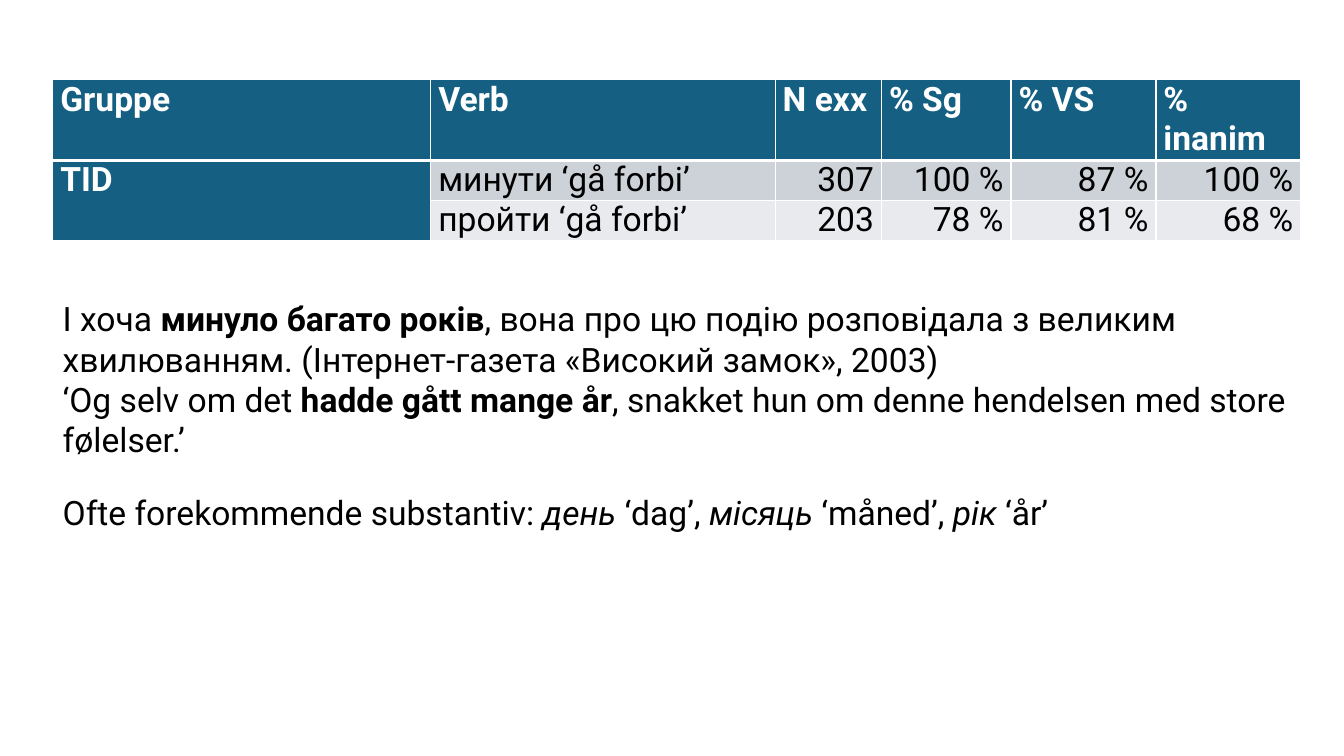
from lxml.etree import SubElement
from pptx import Presentation
from pptx.dml.color import RGBColor
from pptx.enum.text import MSO_AUTO_SIZE as AutoSize, PP_ALIGN as Align
from pptx.oxml.ns import qn
from pptx.util import Pt

# Content
ROWS = [
    ("Gruppe", "Verb", "N exx", "% Sg", "% VS", "% inanim"),
    ("TID", "минути\u00a0‘gå forbi’", "307", "100 %", "87 %", "100 %"),
    ("", "пройти ‘gå forbi’", "203", "78 %", "81 %", "68 %"),
]
# Each span is (text, style): "b" bold, "i" italic, "" plain
EXAMPLE = [
    [("І хоча ", ""), ("минуло багато років", "b"),
     (", вона про цю подію розповідала з великим хвилюванням. "
      "(Інтернет-газета «Високий замок», 2003)", "")],
    [("‘Og selv om det ", ""), ("hadde gått mange år", "b"),
     (", snakket hun om denne hendelsen med store følelser.’", "")],
]
NOUNS = [
    [("Ofte forekommende substantiv: ", ""), ("день", "i"), (" ‘dag’, ", ""),
     ("місяць", "i"), (" ‘måned’, ", ""), ("рік", "i"), (" ‘år’", "")],
]

# Look and layout, in points
WHITE = RGBColor(0xFF, 0xFF, 0xFF)
BLACK = RGBColor(0x00, 0x00, 0x00)
TEAL = RGBColor(0x15, 0x60, 0x82)
BANDS = [RGBColor(0xCC, 0xD2, 0xD8), RGBColor(0xE8, 0xEA, 0xED)]
LEFT, TABLE_TOP = 37.7, 57
COLUMN_WIDTHS = [270, 246, 76, 92.5, 103.5, 103.5]
LINE_HEIGHT = 28.8
ROW_HEIGHTS = [2 * LINE_HEIGHT, LINE_HEIGHT, LINE_HEIGHT]
TABLE_WIDTH = sum(COLUMN_WIDTHS)
TEXT_BOXES = [
    (EXAMPLE, 209.5, TABLE_WIDTH, 124),
    (NOUNS, 347.8, 813.6, 36),
]


def set_font(font, color):
    font.name = "Roboto"
    font.size = Pt(24)
    font.color.rgb = color


def add_borders(cell, bottom):
    properties = cell._tc.get_or_add_tcPr()
    for side, width in (("L", 1), ("R", 1), ("T", 1), ("B", bottom)):
        line = SubElement(properties, qn(f"a:ln{side}"), w=str(Pt(width)))
        fill = SubElement(line, qn("a:solidFill"))
        SubElement(fill, qn("a:srgbClr"), val=str(WHITE))


def fill_cell(cell, text, row, column):
    heading = row == 0 or column == 0
    add_borders(cell, 3 if row == 0 else 1)
    cell.fill.solid()
    cell.fill.fore_color.rgb = TEAL if heading else BANDS[row - 1]
    cell.margin_left = cell.margin_right = Pt(5.4)
    cell.margin_top = cell.margin_bottom = 0
    para = cell.text_frame.paragraphs[0]
    para.text = text
    para.alignment = Align.RIGHT if row > 0 and column > 1 else Align.LEFT
    set_font(para.font, WHITE if heading else BLACK)
    para.font.bold = heading


def add_text(page, paragraphs, top, width, height):
    box = page.shapes.add_textbox(Pt(LEFT), Pt(top), Pt(width), Pt(height))
    frame = box.text_frame
    frame.word_wrap = True
    frame.auto_size = AutoSize.SHAPE_TO_FIT_TEXT
    for index, spans in enumerate(paragraphs):
        para = frame.add_paragraph() if index else frame.paragraphs[0]
        set_font(para.font, BLACK)
        for text, style in spans:
            span = para.add_run()
            span.text = text
            span.font.bold = style == "b"
            span.font.italic = style == "i"


def main():
    deck = Presentation()
    deck.slide_width, deck.slide_height = Pt(960), Pt(540)
    page = deck.slides.add_slide(deck.slide_layouts[6])

    # Table of verbs
    table = page.shapes.add_table(
        len(ROWS), len(COLUMN_WIDTHS), Pt(LEFT), Pt(TABLE_TOP),
        Pt(TABLE_WIDTH), Pt(sum(ROW_HEIGHTS))).table
    for column, width in zip(table.columns, COLUMN_WIDTHS):
        column.width = Pt(width)
    for row, height in zip(table.rows, ROW_HEIGHTS):
        row.height = Pt(height)
    for row, texts in enumerate(ROWS):
        for column, text in enumerate(texts):
            fill_cell(table.cell(row, column), text, row, column)
    table.cell(1, 0).merge(table.cell(2, 0))

    # Example sentence and frequent nouns
    for text_box in TEXT_BOXES:
        add_text(page, *text_box)

    deck.save("out.pptx")


if __name__ == "__main__":
    main()
